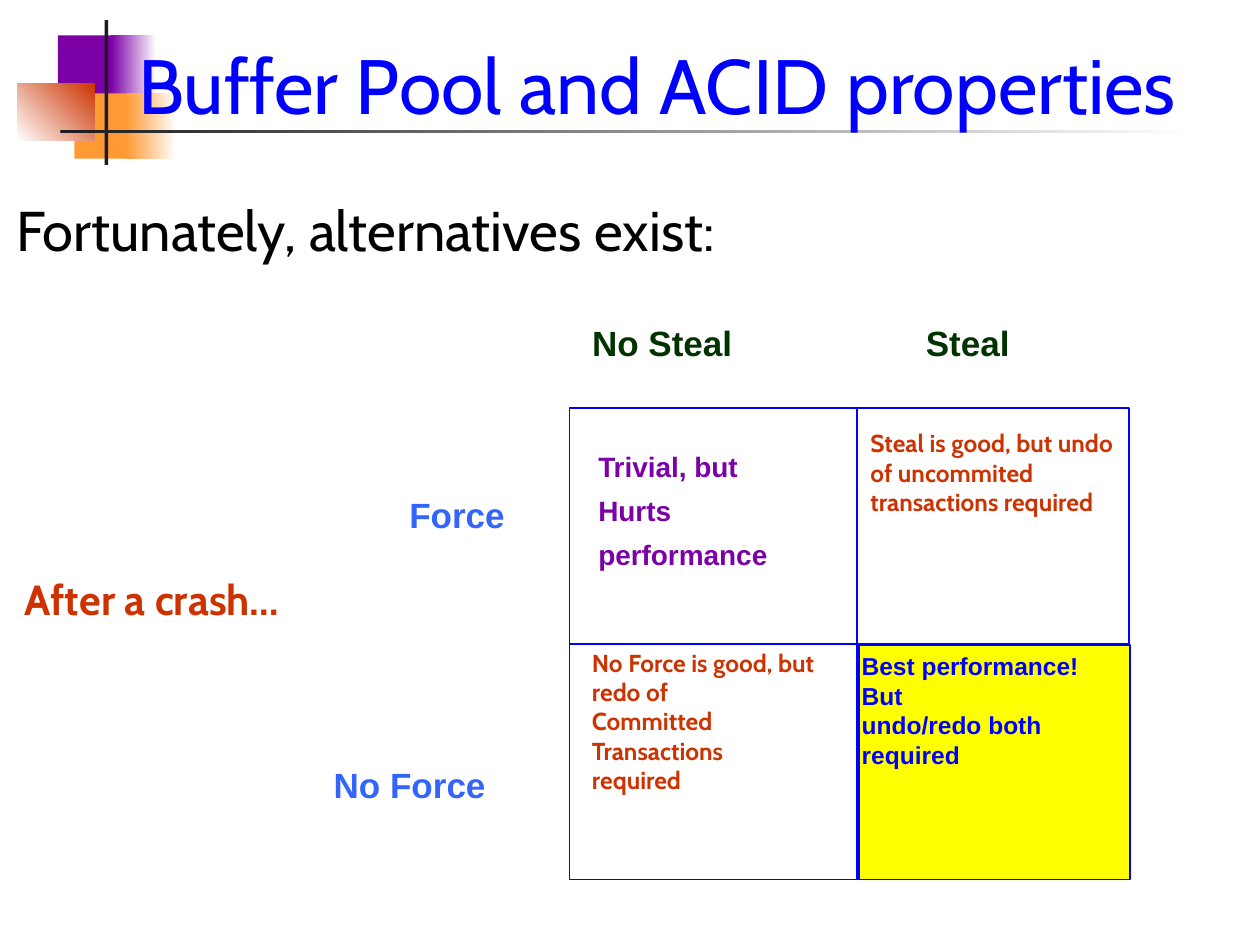
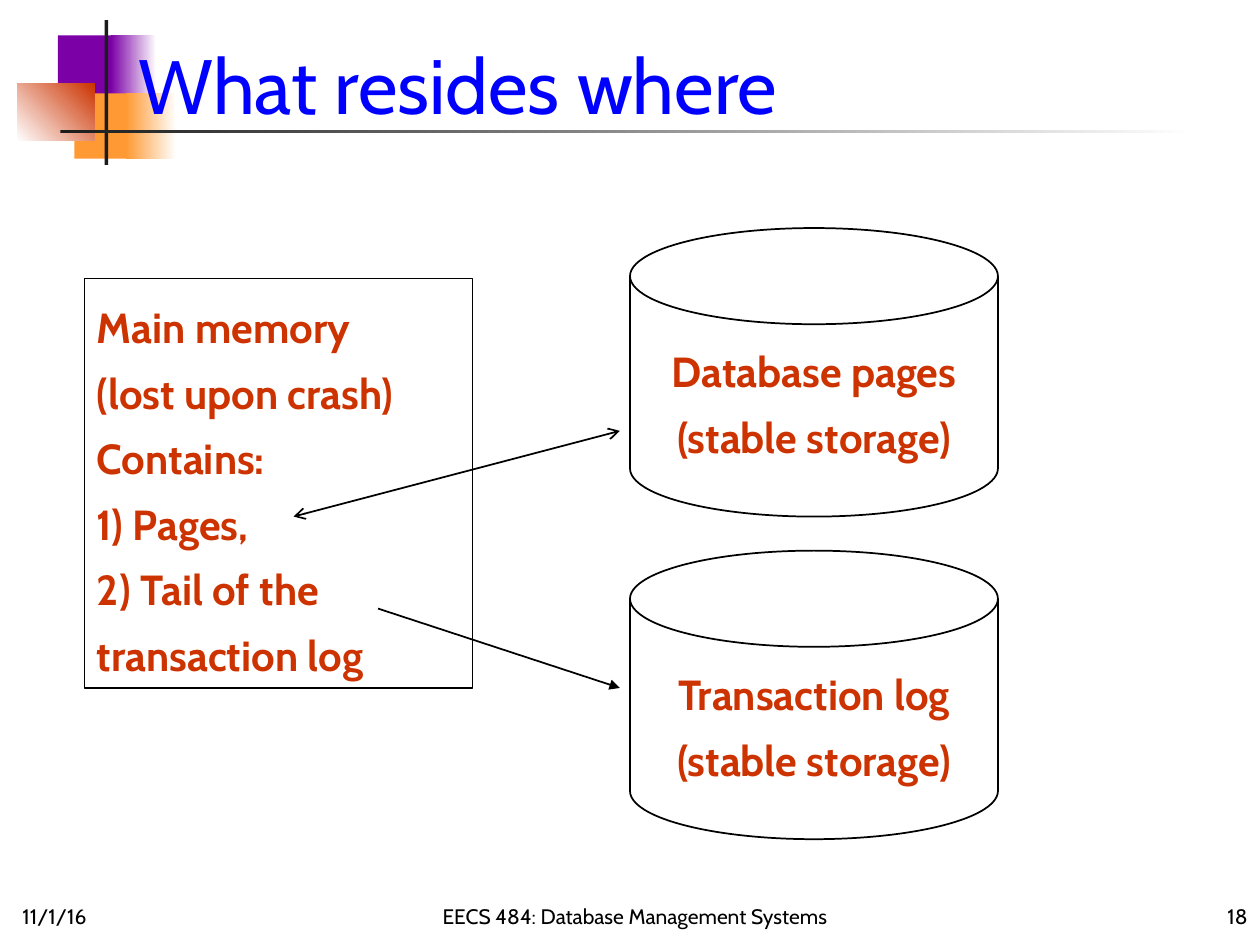
from lxml import etree
from pptx import Presentation
from pptx import util as u
from pptx.dml.color import RGBColor
from pptx.enum import shapes, text
from pptx.oxml.ns import qn

hues = {
    "blue": "0000FF", "sky": "3365FB", "plum": "7B00A6", "rust": "CC3300",
    "gold": "FF9933", "sun": "FFFF00", "pine": "003300", "coal": "1C1C1C",
    "black": "000000", "white": "FFFFFF",
}
rgb = {name: RGBColor.from_string(code) for name, code in hues.items()}
kinds = shapes.MSO_SHAPE
mid, low, top = text.MSO_ANCHOR.MIDDLE, text.MSO_ANCHOR.BOTTOM, text.MSO_ANCHOR.TOP
left, mean, right = text.PP_ALIGN.LEFT, text.PP_ALIGN.CENTER, text.PP_ALIGN.RIGHT


def draw(page, at, fill=None, line=None, kind=kinds.RECTANGLE, turn=0):
    item = page.shapes.add_shape(kind, *map(u.Inches, at))
    item.shadow.inherit = False
    if isinstance(fill, tuple):
        item.fill.gradient()
        item.fill.gradient_angle = turn
        for stop, hue in zip(item.fill.gradient_stops, fill):
            stop.color.rgb = rgb[hue]
    elif fill:
        item.fill.solid()
        item.fill.fore_color.rgb = rgb[fill]
    else:
        item.fill.background()
    if line:
        item.line.color.rgb = rgb[line]
        item.line.width = u.Pt(1)
    else:
        item.line.fill.background()
    return item


def write(item, lines, size, hue, font="Cabin", bold=False, space=None,
          align=left, anchor=top):
    frame = item.text_frame
    frame.word_wrap = True
    frame.vertical_anchor = anchor
    for num, words in enumerate(lines):
        para = frame.add_paragraph() if num else frame.paragraphs[0]
        para.alignment = align
        if space:
            para.line_spacing = space
        run = para.add_run()
        run.text = words
        run.font.size = u.Pt(size)
        run.font.name = font
        run.font.bold = bold
        run.font.color.rgb = rgb[hue]


deck = Presentation()
deck.slide_width, deck.slide_height = u.Inches(10), u.Inches(7.5)

motif = [
    ((0.46, 0.28, 0.48, 0.52), "plum", 0),
    ((0.88, 0.28, 0.36, 0.52), ("plum", "white"), 0),
    ((0.59, 0.74, 0.46, 0.52), "gold", 0),
    ((1, 0.74, 0.4, 0.52), ("gold", "white"), 0),
    ((0.14, 0.66, 0.61, 0.46), ("white", "rust"), 45),
    ((0.83, 0.16, 0.03, 1.15), "coal", 0),
    ((0.48, 1.03, 9, 0.03), ("coal", "white"), 0),
]
pages = []
for title in ["Buffer Pool and ACID properties", "What resides where"]:
    page = deck.slides.add_slide(deck.slide_layouts[6])
    for at, fill, turn in motif:
        draw(page, at, fill, turn=turn)
    head = page.shapes.add_textbox(*map(u.Inches, (1, -0.17, 8.83, 1.25)))
    write(head, [title], 44, "blue", anchor=low)
    pages.append(page)
grid, store = pages

x, y, wide, tall = 4.52, 3.24, 4.44, 3.74
split, half = 6.8, y + tall / 2
draw(grid, (x, y, wide, tall), line="blue")
draw(grid, (6.82, 5.12, 2.15, 1.86), "sun", "blue")

bold = {"bold": True}
arial = {"font": "Arial", "bold": True}
loose = {"space": 1.3}
notes = [
    ((0.03, 1.5, 9.63, 1.05), ["Fortunately, alternatives exist:"], 32, "black", {}),
    ((3.15, 3.77, 1.4, 0.67), ["Force"], 20, "sky", arial | loose),
    ((2.55, 5.91, 2.05, 0.67), ["No Force"], 20, "sky", arial | loose),
    ((4.6, 2.4, 1.91, 0.67), ["No Steal"], 20, "pine", arial | loose),
    ((7.25, 2.4, 1.27, 0.67), ["Steal"], 20, "pine", arial | loose),
    ((4.65, 3.44, 1.86, 1.15), ["Trivial, but", "Hurts performance"],
     16, "plum", arial | loose),
    ((6.74, 5.12, 2.07, 1.04), ["Best performance! But", "undo/redo both required"],
     14, "blue", arial),
    ((6.81, 3.35, 2.16, 0.81),
     ["Steal is good, but undo of uncommited transactions required"],
     14, "rust", bold),
    ((4.6, 5.09, 1.97, 1.28),
     ["No Force is good, but redo of", "Committed", "Transactions required"],
     14, "rust", bold),
    ((0.1, 4.38, 2.47, 0.63), ["After a crash…"], 24, "rust", bold | loose),
]
for at, lines, size, hue, style in notes:
    note = grid.shapes.add_textbox(*map(u.Inches, at))
    write(note, lines, size, hue, **style)

feet = [
    (0.08, 2.08, "11/1/16", left),
    (2.33, 5.42, "EECS 484: Database Management Systems", mean),
    (7.92, 2.08, "18", right),
]
for start, span, words, align in feet:
    foot = store.shapes.add_textbox(*map(u.Inches, (start, 6.92, span, 0.5)))
    write(foot, [words], 12, "black", align=align, anchor=low)

for start, name in [(1.81, "Database pages"), (4.37, "Transaction log")]:
    disk = draw(store, (5, start, 2.92, 2.29), line="black",
                kind=kinds.FLOWCHART_MAGNETIC_DISK)
    write(disk, [name, "(stable storage)"], 24, "rust", bold=True, space=1.3,
          align=mean, anchor=mid)

ram = draw(store, (0.67, 2.21, 3.08, 3.25), line="black")
write(ram, ["Main memory", "(lost upon crash)", "Contains:", "1) Pages,",
            "2) Tail of the transaction log"],
      24, "rust", bold=True, space=1.3, anchor=mid)

links = [
    (grid, (x, half, x + wide, half), "blue", {}),
    (grid, (split, y, split, y + tall), "blue", {}),
    (store, (2.33, 4.1, 4.92, 3.42), "black", {"headEnd": "arrow", "tailEnd": "arrow"}),
    (store, (3, 4.83, 4.92, 5.46), "black", {"tailEnd": "triangle"}),
]
for page, ends, hue, tips in links:
    link = page.shapes.add_connector(shapes.MSO_CONNECTOR.STRAIGHT,
                                     *map(u.Inches, ends))
    link.line.color.rgb = rgb[hue]
    link.line.width = u.Pt(1)
    for tag, tip in tips.items():
        etree.SubElement(link.line._get_or_add_ln(), qn("a:" + tag), type=tip)
    etree.SubElement(link._element.spPr, qn("a:effectLst"))

deck.save("out.pptx")
